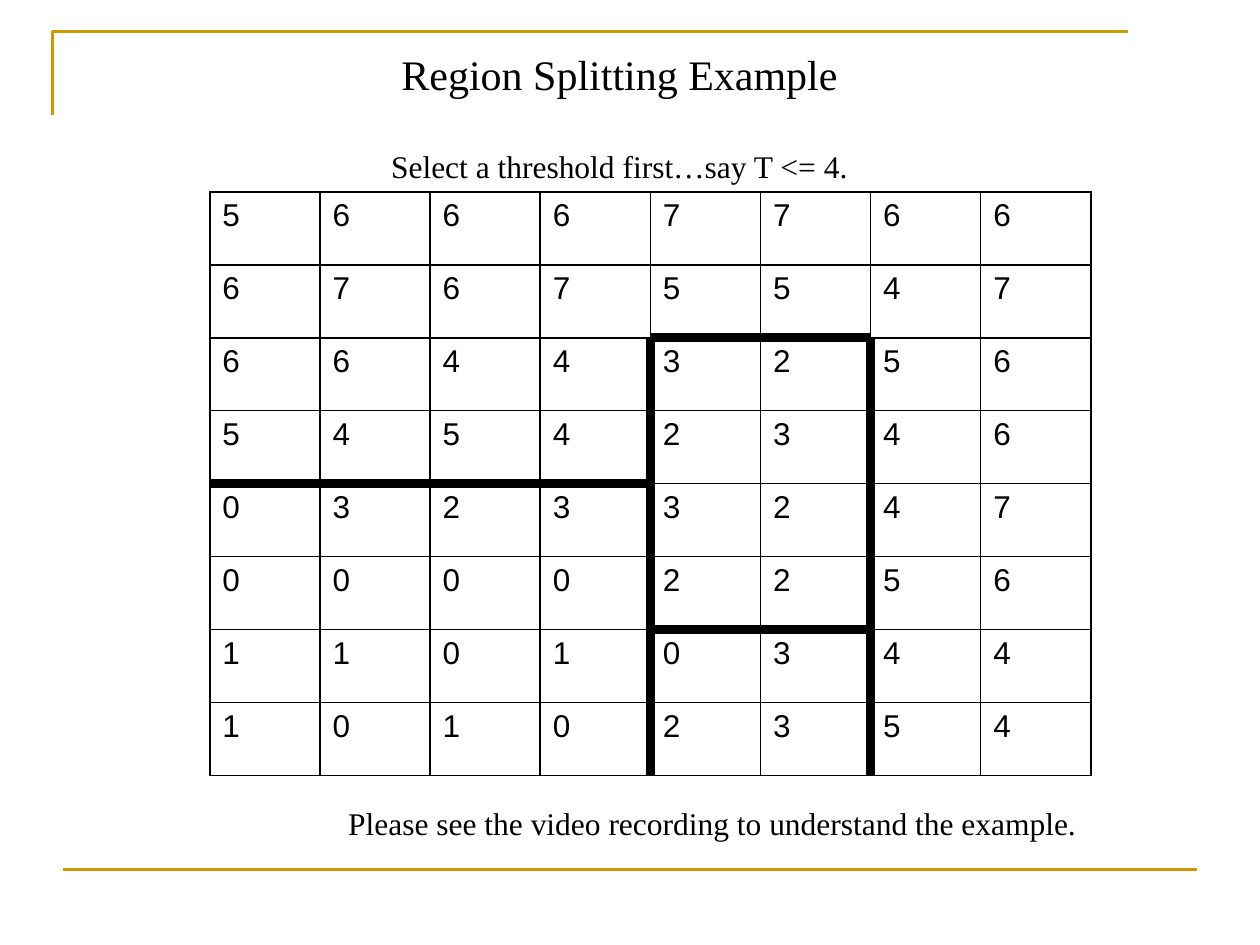
from lxml import etree
from pptx import Presentation
from pptx.dml.color import RGBColor
from pptx.enum.shapes import MSO_CONNECTOR
from pptx.enum.text import MSO_ANCHOR, PP_ALIGN
from pptx.oxml.ns import qn
from pptx.util import Cm, Pt

STRAIGHT = MSO_CONNECTOR.STRAIGHT
TOP = MSO_ANCHOR.TOP
CENTER, LEFT = PP_ALIGN.CENTER, PP_ALIGN.LEFT

THEME = {
    "ink": "000000",
    "gold": "CC9900",
    "serif": "Times New Roman",
    "sans": "Arial",
    "title": 24,
    "body": 18,
    "rule": 1.5,
    "thin": 1,
    "thick": 6,
}

TITLE = "Region Splitting Example"
SUBTITLE = "Select a threshold first…say T <= 4."
NOTE = "Please see the video recording to understand the example."
PIXELS = [
    "56667766",
    "67675547",
    "66443256",
    "54542346",
    "03233247",
    "00002256",
    "11010344",
    "10102354",
]
REGIONS = [
    "AAAAAAAA",
    "AAAAAAAA",
    "AAAACCAA",
    "AAAACCAA",
    "BBBBCCAA",
    "BBBBCCAA",
    "BBBBDDAA",
    "BBBBDDAA",
]
SIDES = {"a:lnL": (0, -1), "a:lnR": (0, 1), "a:lnT": (-1, 0), "a:lnB": (1, 0)}

TABLE_LEFT, TABLE_TOP = Cm(4.23), Cm(3.87)
CELL_WIDTH, CELL_HEIGHT = Cm(2.22), Cm(1.47)
FRAME = [(Cm(1.06), Cm(2.32)), (Cm(1.06), Cm(0.64)), (Cm(22.73), Cm(0.64))]
FOOT_LEFT, FOOT_RIGHT, FOOT_TOP = Cm(1.27), Cm(24.13), Cm(17.53)


def format_paragraph(paragraph, font_name, size, alignment=LEFT):
    paragraph.alignment = alignment
    for run in paragraph.runs:
        run.font.name = font_name
        run.font.size = Pt(size)
        run.font.color.rgb = RGBColor.from_string(THEME["ink"])


def format_rule(line):
    line.color.rgb = RGBColor.from_string(THEME["gold"])
    line.width = Pt(THEME["rule"])


def add_frame(slide):
    builder = slide.shapes.build_freeform(*FRAME[0])
    builder.add_line_segments(FRAME[1:], close=False)
    corner = builder.convert_to_shape()
    corner.shadow.inherit = False
    corner.fill.background()
    format_rule(corner.line)
    foot = slide.shapes.add_connector(
        STRAIGHT, FOOT_LEFT, FOOT_TOP, FOOT_RIGHT, FOOT_TOP)
    etree.SubElement(foot._element.spPr, qn("a:effectLst"))
    format_rule(foot.line)


def border_width(row, column, step):
    next_row, next_column = row + step[0], column + step[1]
    inside = 0 <= next_row < len(REGIONS) and 0 <= next_column < len(REGIONS[0])
    if inside and REGIONS[row][column] != REGIONS[next_row][next_column]:
        return THEME["thick"]
    return THEME["thin"]


def add_border(cell, tag, width):
    properties = cell._tc.get_or_add_tcPr()
    line = etree.SubElement(properties, qn(tag), w=str(Pt(width)))
    fill = etree.SubElement(line, qn("a:solidFill"))
    etree.SubElement(fill, qn("a:srgbClr"), val=THEME["ink"])


def add_pixel_table(slide):
    row_count, column_count = len(PIXELS), len(PIXELS[0])
    table = slide.shapes.add_table(
        row_count, column_count, TABLE_LEFT, TABLE_TOP,
        CELL_WIDTH * column_count, CELL_HEIGHT * row_count).table
    table.first_row = False
    table.horz_banding = False
    for row, values in enumerate(PIXELS):
        for column, value in enumerate(values):
            cell = table.cell(row, column)
            cell.text_frame.text = value
            format_paragraph(cell.text_frame.paragraphs[0],
                             THEME["sans"], THEME["body"])
            for tag, step in SIDES.items():
                add_border(cell, tag, border_width(row, column, step))
            cell.fill.background()


def add_heading(slide):
    title = slide.shapes.title
    title.left, title.top = Cm(2.33), Cm(0.85)
    title.width, title.height = Cm(20.32), Cm(3.15)
    text_frame = title.text_frame
    text_frame.vertical_anchor = TOP
    text_frame.text = TITLE
    subtitle = text_frame.add_paragraph()
    subtitle.text = SUBTITLE
    subtitle.space_before = Pt(27.6)
    format_paragraph(text_frame.paragraphs[0], THEME["serif"], THEME["title"], CENTER)
    format_paragraph(subtitle, THEME["serif"], THEME["body"], CENTER)


def add_note(slide):
    text_frame = slide.shapes.add_textbox(
        Cm(6.77), Cm(16.09), Cm(17.36), Cm(1.02)).text_frame
    text_frame.word_wrap = True
    text_frame.text = NOTE
    format_paragraph(text_frame.paragraphs[0], THEME["serif"], THEME["body"])


def main():
    presentation = Presentation()
    presentation.slide_width, presentation.slide_height = Cm(25.4), Cm(19.05)
    slide = presentation.slides.add_slide(
        presentation.slide_layouts.get_by_name("Title Only"))
    add_frame(slide)
    add_pixel_table(slide)
    add_heading(slide)
    add_note(slide)
    presentation.save("out.pptx")


if __name__ == "__main__":
    main()
